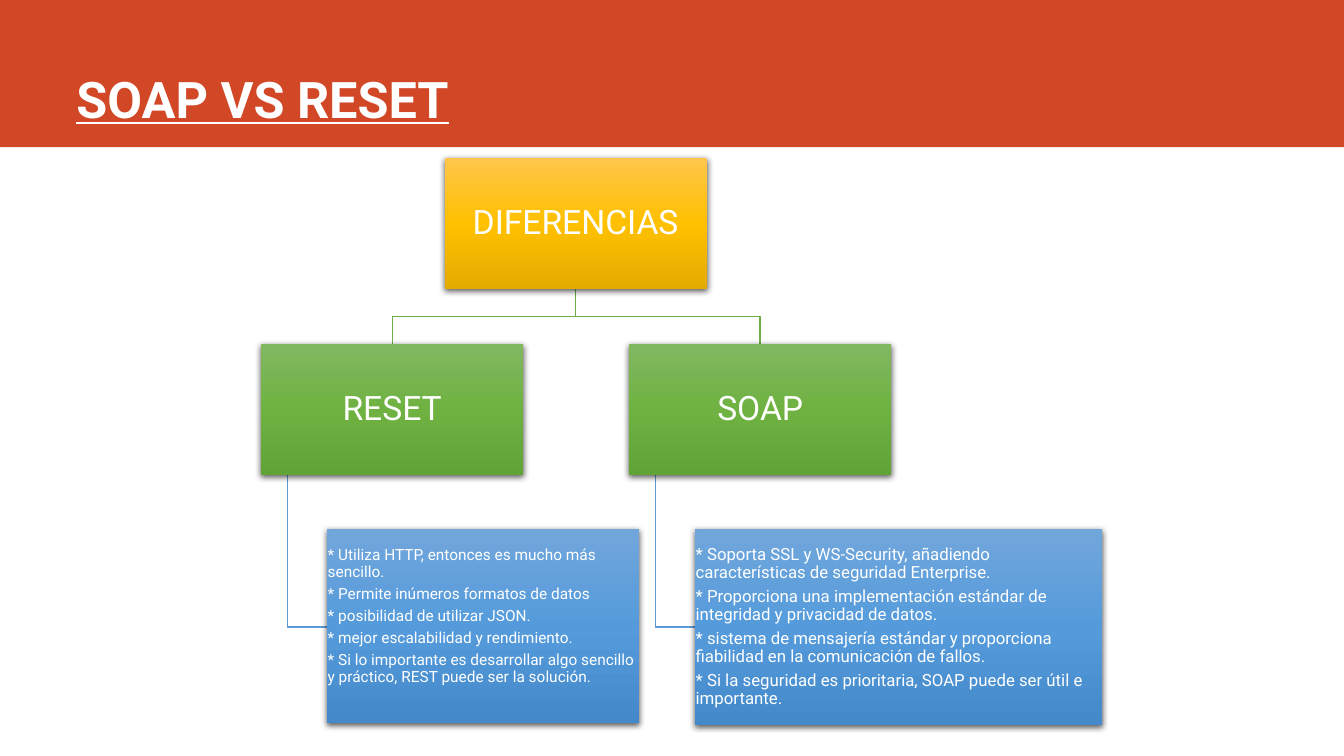
from lxml import etree
from pptx import Presentation
from pptx import util as u
from pptx.dml.color import RGBColor
from pptx.enum import shapes, text
from pptx.oxml.ns import qn

WHITE = RGBColor(0xFF, 0xFF, 0xFF)
BANNER = RGBColor(0xD2, 0x47, 0x26)
GREEN_LINE = RGBColor(0x70, 0xAD, 0x47)
BLUE_LINE = RGBColor(0x5B, 0x9B, 0xD5)
GOLD = (RGBColor(0xFF, 0xC6, 0x4B), RGBColor(0xFF, 0xC0, 0x00), RGBColor(0xE3, 0xAB, 0x00))
GREEN = (RGBColor(0x81, 0xB8, 0x61), RGBColor(0x6F, 0xB2, 0x42), RGBColor(0x62, 0xA3, 0x36))
BLUE = (RGBColor(0x71, 0xA6, 0xDB), RGBColor(0x55, 0x9B, 0xDB), RGBColor(0x44, 0x8A, 0xCA))

# Chart geometry in inches
NODE_WIDTH, NODE_HEIGHT = 2.6, 1.3
ROOT_TOP, ROW_STEP = 1.57, 1.84
ROOT_LEFT = 4.41
BRANCH_TOP = ROOT_TOP + ROW_STEP
NOTE_TOP = BRANCH_TOP + ROW_STEP
STEM_INDENT, NOTE_INDENT = 0.26, 0.65
STEM_END = 6.22

# Name, left, note width, note height, note size, note bottom inset, note lines
BRANCHES = [
    ("RESET", 2.59, 3.1, 1.92, 11, 0.2, [
        "* Utiliza HTTP, entonces es mucho más sencillo.",
        "* Permite inúmeros formatos de datos",
        "* posibilidad de utilizar JSON.",
        "* mejor escalabilidad y rendimiento.",
        "* Si lo importante es desarrollar algo sencillo y práctico, "
        "REST puede ser la solución.",
    ]),
    ("SOAP", 6.24, 4.04, 1.94, 12, 0.01, [
        "* Soporta SSL y WS-Security, añadiendo características de seguridad Enterprise.",
        "* Proporciona una implementación estándar de integridad y privacidad de datos.",
        "* sistema de mensajería estándar y proporciona fiabilidad en la "
        "comunicación de fallos.",
        "* Si la seguridad es prioritaria, SOAP puede ser útil e importante.",
    ]),
]


class SlideBuilder:
    def __init__(self, slide, font_name="Roboto", font_color=WHITE):
        self.slide = slide
        self.font_name = font_name
        self.font_color = font_color

    def style(self, paragraph, size, bold=False, underline=False):
        font = paragraph.font
        font.name, font.size = self.font_name, u.Pt(size)
        font.bold, font.underline = bold, underline
        font.color.rgb = self.font_color

    def rectangle(self, left, top, width, height):
        shape = self.slide.shapes.add_shape(
            shapes.MSO_SHAPE.RECTANGLE,
            u.Inches(left), u.Inches(top), u.Inches(width), u.Inches(height))
        shape.shadow.inherit = False
        shape.line.fill.background()
        return shape

    def banner(self, width, height, color):
        shape = self.rectangle(0, 0, width, height)
        shape.fill.solid()
        shape.fill.fore_color.rgb = color

    def title(self, wording, left, top, width, height):
        box = self.slide.shapes.add_textbox(
            u.Inches(left), u.Inches(top), u.Inches(width), u.Inches(height))
        frame = box.text_frame
        frame.word_wrap = True
        frame.vertical_anchor = text.MSO_ANCHOR.BOTTOM
        frame.text = wording
        self.style(frame.paragraphs[0], 36, bold=True, underline=True)

    def gradient(self, shape, colors):
        shape.fill.gradient()
        shape.fill.gradient_angle = 270
        stops = shape._element.spPr.find(qn("a:gradFill")).find(qn("a:gsLst"))
        for stop in list(stops):
            stops.remove(stop)
        for position, color in zip((0, 50000, 100000), colors):
            stop = etree.SubElement(stops, qn("a:gs"), pos=str(position))
            etree.SubElement(stop, qn("a:srgbClr"), val=str(color))

    def soft_shadow(self, shape):
        effects = shape._element.spPr.find(qn("a:effectLst"))
        shadow = etree.SubElement(
            effects, qn("a:outerShdw"), blurRad=str(u.Pt(4.5)), dist=str(u.Pt(1.5)),
            dir="5400000", algn="ctr", rotWithShape="0")
        color = etree.SubElement(shadow, qn("a:srgbClr"), val="000000")
        etree.SubElement(color, qn("a:alpha"), val="63000")

    def card(self, lines, left, top, width, height, colors, size, align, inset, bottom_inset):
        shape = self.rectangle(left, top, width, height)
        self.gradient(shape, colors)
        self.soft_shadow(shape)
        frame = shape.text_frame
        frame.word_wrap = True
        frame.vertical_anchor = text.MSO_ANCHOR.MIDDLE
        frame.margin_left = frame.margin_right = frame.margin_top = u.Inches(inset)
        frame.margin_bottom = u.Inches(bottom_inset)
        frame.text = "\n".join(lines)
        for paragraph in frame.paragraphs:
            paragraph.alignment = align
            paragraph.line_spacing = 0.9
            paragraph.space_after = u.Pt(size * 0.35)
            self.style(paragraph, size)

    def node(self, name, left, top, colors):
        self.card([name], left, top, NODE_WIDTH, NODE_HEIGHT, colors, 24,
                  text.PP_ALIGN.CENTER, 0.02, 0.02)

    def note(self, lines, left, width, height, size, bottom_inset):
        self.card(lines, left, NOTE_TOP, width, height, BLUE, size,
                  text.PP_ALIGN.LEFT, 0.01, bottom_inset)

    def elbow(self, points, color):
        start, *rest = [(u.Inches(x), u.Inches(y)) for x, y in points]
        builder = self.slide.shapes.build_freeform(*start)
        builder.add_line_segments(rest, close=False)
        shape = builder.convert_to_shape()
        shape.shadow.inherit = False
        shape.fill.background()
        shape.line.color.rgb = color
        shape.line.width = u.Pt(1)


def main():
    presentation = Presentation()
    presentation.slide_width = u.Inches(13.33)
    presentation.slide_height = u.Inches(7.5)
    builder = SlideBuilder(presentation.slides.add_slide(presentation.slide_layouts[6]))

    # Header
    builder.banner(13.33, 1.46, BANNER)
    builder.title("SOAP VS RESET", 0.66, 0, 11.76, 1.32)

    # Branch lines, behind the cards
    root_middle = ROOT_LEFT + NODE_WIDTH / 2
    root_bottom = ROOT_TOP + NODE_HEIGHT
    fork = (root_bottom + BRANCH_TOP) / 2
    for _, left, *_ in BRANCHES:
        middle, stem = left + NODE_WIDTH / 2, left + STEM_INDENT
        builder.elbow([(root_middle, root_bottom), (root_middle, fork),
                       (middle, fork), (middle, BRANCH_TOP)], GREEN_LINE)
        builder.elbow([(stem, BRANCH_TOP + NODE_HEIGHT), (stem, STEM_END),
                       (left + NOTE_INDENT, STEM_END)], BLUE_LINE)

    # Root, branches and their notes
    builder.node("DIFERENCIAS", ROOT_LEFT, ROOT_TOP, GOLD)
    for name, left, width, height, size, bottom_inset, lines in BRANCHES:
        builder.node(name, left, BRANCH_TOP, GREEN)
        builder.note(lines, left + NOTE_INDENT, width, height, size, bottom_inset)

    presentation.save("out.pptx")


if __name__ == "__main__":
    main()
